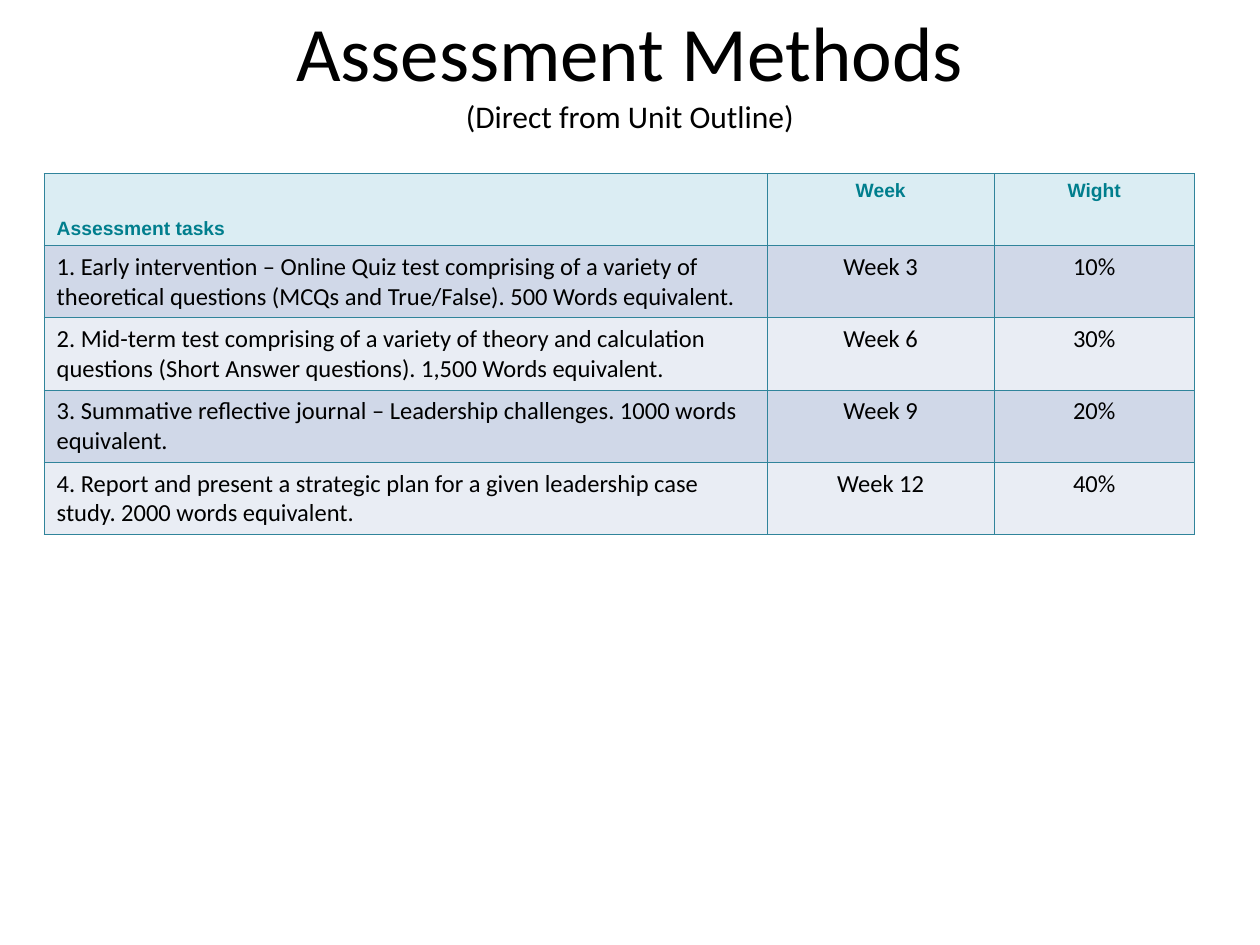
import pptx
import pptx.util
import pptx.dml.color
import pptx.enum.text
import pptx.oxml.ns
from lxml import etree
from pptx.util import Inches

COLORS = {
    "text": "000000",
    "header_text": "007E8D",
    "header_fill": "DBEDF3",
    "odd_row": "D0D8E8",
    "even_row": "E9EDF4",
    "border": "30849B",
}
HEADER = ("Assessment tasks", "Week", "Wight")
ASSESSMENTS = [
    ("1. Early intervention – Online Quiz test comprising of a variety of theoretical "
     "questions (MCQs and True/False). 500 Words equivalent.", "Week 3", "10%"),
    ("2. Mid-term test comprising of a variety of theory and calculation questions "
     "(Short Answer questions). 1,500 Words equivalent.", "Week 6", "30%"),
    ("3. Summative reflective journal – Leadership challenges. 1000 words equivalent.",
     "Week 9", "20%"),
    ("4. Report and present a strategic plan for a given leadership case study. "
     "2000 words equivalent.", "Week 12", "40%"),
]
COLUMN_WIDTHS = (5.74, 1.8, 1.59)
ROW_HEIGHT = 0.57
ALIGN = pptx.enum.text.PP_ALIGN
ANCHOR = pptx.enum.text.MSO_ANCHOR


def rgb(name):
    return pptx.dml.color.RGBColor.from_string(COLORS[name])


def format_run(run, font, size, color, bold=False):
    run.font.name = font
    run.font.size = pptx.util.Pt(size)
    run.font.bold = bold
    run.font.color.rgb = rgb(color)


def add_title(slide):
    title = slide.shapes.title
    title.left, title.top = Inches(0.5), Inches(0.34)
    title.width, title.height = Inches(9), Inches(1.16)
    frame = title.text_frame
    frame.auto_size = pptx.enum.text.MSO_AUTO_SIZE.NONE
    frame.word_wrap = True
    frame.vertical_anchor = ANCHOR.BOTTOM
    frame.margin_top, frame.margin_bottom = Inches(0.04), Inches(0.43)
    frame.text = "Assessment Methods\v(Direct from Unit Outline)"
    heading = frame.paragraphs[0]
    heading.alignment = ALIGN.CENTER
    for run, size in zip(heading.runs, (44, 18)):
        format_run(run, "Calibri", size, "text")


def add_borders(cell):
    properties = cell._tc.get_or_add_tcPr()
    qn = pptx.oxml.ns.qn
    for side in ("a:lnL", "a:lnR", "a:lnT", "a:lnB"):
        line = etree.SubElement(properties, qn(side), w=str(pptx.util.Pt(0.75)))
        fill = etree.SubElement(line, qn("a:solidFill"))
        etree.SubElement(fill, qn("a:srgbClr"), val=COLORS["border"])


def fill_cell(cell, text, column, fill, font, size, color, bold):
    add_borders(cell)
    cell.fill.solid()
    cell.fill.fore_color.rgb = rgb(fill)
    cell.text_frame.text = text
    paragraph = cell.text_frame.paragraphs[0]
    paragraph.alignment = ALIGN.CENTER if column else ALIGN.LEFT
    format_run(paragraph.runs[0], font, size, color, bold)


def add_assessment_table(slide):
    rows = [HEADER] + ASSESSMENTS
    assessments = slide.shapes.add_table(
        len(rows), len(HEADER), Inches(0.35), Inches(1.38),
        Inches(sum(COLUMN_WIDTHS)), Inches(ROW_HEIGHT * len(rows))).table
    for column, width in zip(assessments.columns, COLUMN_WIDTHS):
        column.width = Inches(width)
    for row_index, row in enumerate(rows):
        if row_index == 0:
            style = ("header_fill", "Arial", 11, "header_text", True)
        else:
            band = "odd_row" if row_index % 2 else "even_row"
            style = (band, "Calibri", 14, "text", False)
        for column_index, text in enumerate(row):
            cell = assessments.cell(row_index, column_index)
            fill_cell(cell, text, column_index, *style)
            if row_index and column_index:
                cell.margin_left = cell.margin_right = Inches(0.05)
    assessments.cell(0, 0).vertical_anchor = ANCHOR.BOTTOM


def main():
    presentation = pptx.Presentation()
    presentation.slide_width = Inches(10)
    presentation.slide_height = Inches(7.5)
    slide = presentation.slides.add_slide(presentation.slide_layouts[5])
    add_title(slide)
    add_assessment_table(slide)
    presentation.save("out.pptx")


if __name__ == "__main__":
    main()
